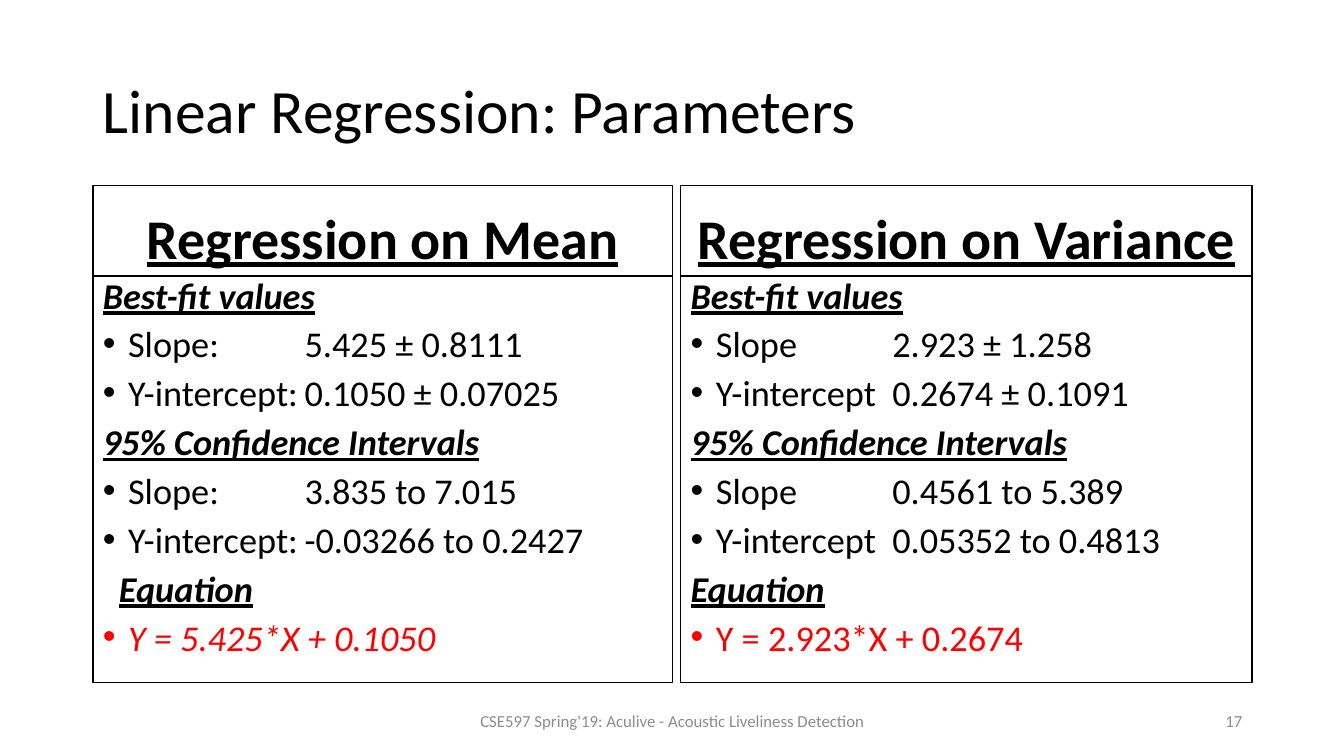
from lxml.etree import SubElement
from pptx import Presentation
from pptx.dml.color import RGBColor
from pptx.enum.text import MSO_ANCHOR as Anchor, MSO_AUTO_SIZE as AutoSize, PP_ALIGN as Align
from pptx.oxml.ns import qn
from pptx.util import Inches, Pt

BLACK = RGBColor(0x00, 0x00, 0x00)
RED = RGBColor(0xFF, 0x00, 0x00)
GRAY = RGBColor(0x8C, 0x8C, 0x8C)

HEADING = {"bold": True, "italic": True, "underline": True}
HEADER_TOP, HEADER_HEIGHT, LIST_HEIGHT = 1.84, 0.9, 4.03

COLUMNS = [
    (0.92, 5.75, "Regression on Mean", [
        ("Best-fit values", ["Slope:\t5.425 ± 0.8111", "Y-intercept:\t0.1050 ± 0.07025"]),
        ("95% Confidence Intervals", ["Slope:\t3.835 to 7.015", "Y-intercept:\t-0.03266 to 0.2427"]),
        ("Equation", ["Y = 5.425*X + 0.1050"]),
    ], 0.16, True),
    (6.75, 5.67, "Regression on Variance", [
        ("Best-fit values", ["Slope\t2.923 ± 1.258", "Y-intercept\t0.2674 ± 0.1091"]),
        ("95% Confidence Intervals", ["Slope\t0.4561 to 5.389", "Y-intercept\t0.05352 to 0.4813"]),
        ("Equation", ["Y = 2.923*X + 0.2674"]),
    ], 0, False),
]


def prepare(shape, left, top, width, height, anchor):
    shape.left, shape.top = Inches(left), Inches(top)
    shape.width, shape.height = Inches(width), Inches(height)
    frame = shape.text_frame
    frame.word_wrap = True
    frame.auto_size = AutoSize.NONE
    frame.vertical_anchor = anchor
    return frame


def write(paragraph, text, size, color=BLACK, align=Align.LEFT, spacing=1.0, before=0, **formats):
    paragraph.alignment = align
    paragraph.line_spacing = spacing
    paragraph.space_before = Pt(before)
    run = paragraph.add_run()
    run.text = text
    base = {"name": "Calibri", "size": Pt(size), "bold": False, "italic": False}
    for name, value in (base | formats).items():
        setattr(run.font, name, value)
    run.font.color.rgb = color


presentation = Presentation()
presentation.slide_width = Inches(13.33)
presentation.slide_height = Inches(7.5)
slide = presentation.slides.add_slide(presentation.slide_layouts.get_by_name("Comparison"))
title, *bodies = slide.placeholders

frame = prepare(title, 0.92, 0.4, 11.5, 1.45, Anchor.MIDDLE)
write(frame.paragraphs[0], "Linear Regression: Parameters", 44, spacing=0.9)

for index, (left, width, header, sections, equation_indent, italic) in enumerate(COLUMNS):
    header_box, list_box = bodies[2 * index:2 * index + 2]
    for box in (header_box, list_box):
        box.line.color.rgb = BLACK
        box.line.width = Pt(1.25)

    frame = prepare(header_box, left, HEADER_TOP, width, HEADER_HEIGHT, Anchor.BOTTOM)
    write(frame.paragraphs[0], header, 40, align=Align.CENTER, spacing=0.9, bold=True, underline=True)

    frame = prepare(list_box, left, HEADER_TOP + HEADER_HEIGHT, width, LIST_HEIGHT, Anchor.TOP)
    paragraph = frame.paragraphs[0]
    for heading, items in sections:
        is_equation = heading == "Equation"
        if paragraph.runs:
            paragraph = frame.add_paragraph()
        properties = paragraph._p.get_or_add_pPr()
        properties.set("marL", str(Inches(equation_indent if is_equation else 0)))
        properties.set("indent", "0")
        SubElement(properties, qn("a:buNone"))
        before = 0 if heading == sections[0][0] else 10
        write(paragraph, heading, 25.9, spacing=0.8, before=before, **HEADING)
        for item in items:
            paragraph = frame.add_paragraph()
            properties = paragraph._p.get_or_add_pPr()
            properties.set("marL", str(Inches(0.25)))
            properties.set("indent", str(-Inches(0.25)))
            SubElement(properties, qn("a:buFont"), typeface="Arial")
            SubElement(properties, qn("a:buChar"), char="•")
            tabs = SubElement(properties, qn("a:tabLst"))
            SubElement(tabs, qn("a:tab"), pos=str(Inches(2)), algn="l")
            write(paragraph, item, 25.9, RED if is_equation else BLACK, spacing=0.8, before=10,
                  italic=is_equation and italic)

for left, width, text, align in [
    (4.42, 4.5, "CSE597 Spring'19: Aculive - Acoustic Liveliness Detection", Align.CENTER),
    (9.42, 3, "17", Align.RIGHT),
]:
    text_box = slide.shapes.add_textbox(0, 0, 0, 0)
    frame = prepare(text_box, left, 6.95, width, 0.4, Anchor.MIDDLE)
    write(frame.paragraphs[0], text, 12, GRAY, align)

presentation.save("out.pptx")
